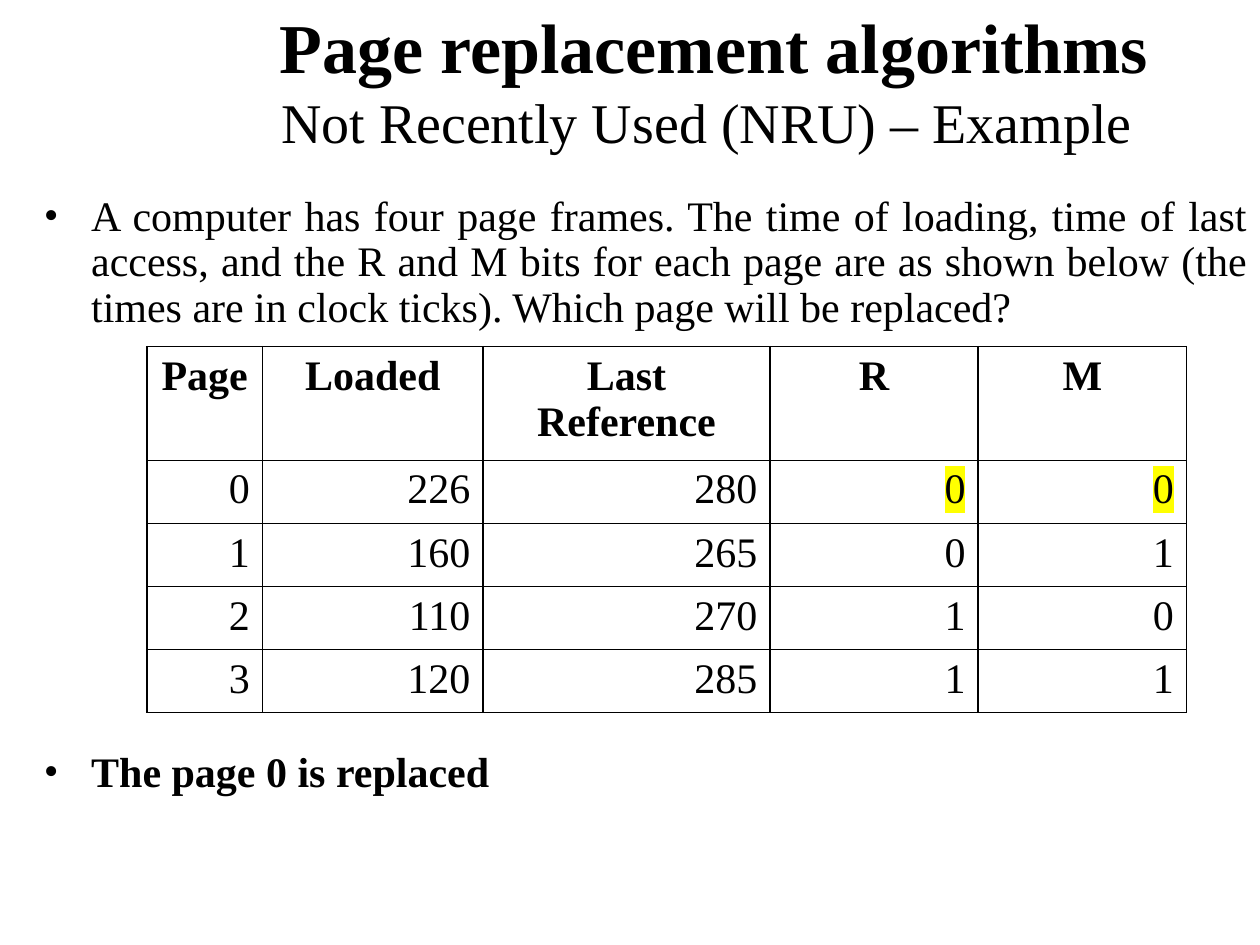
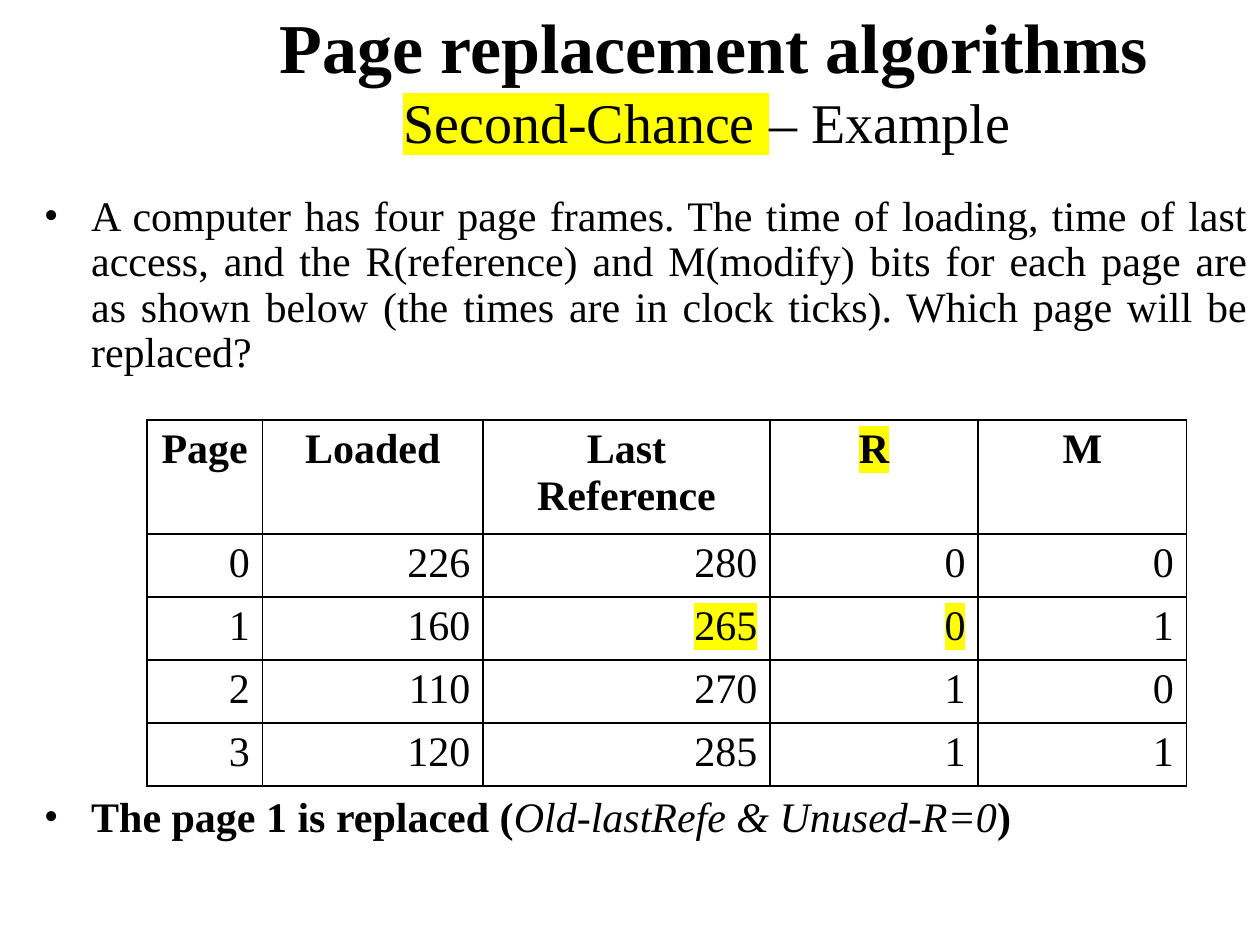
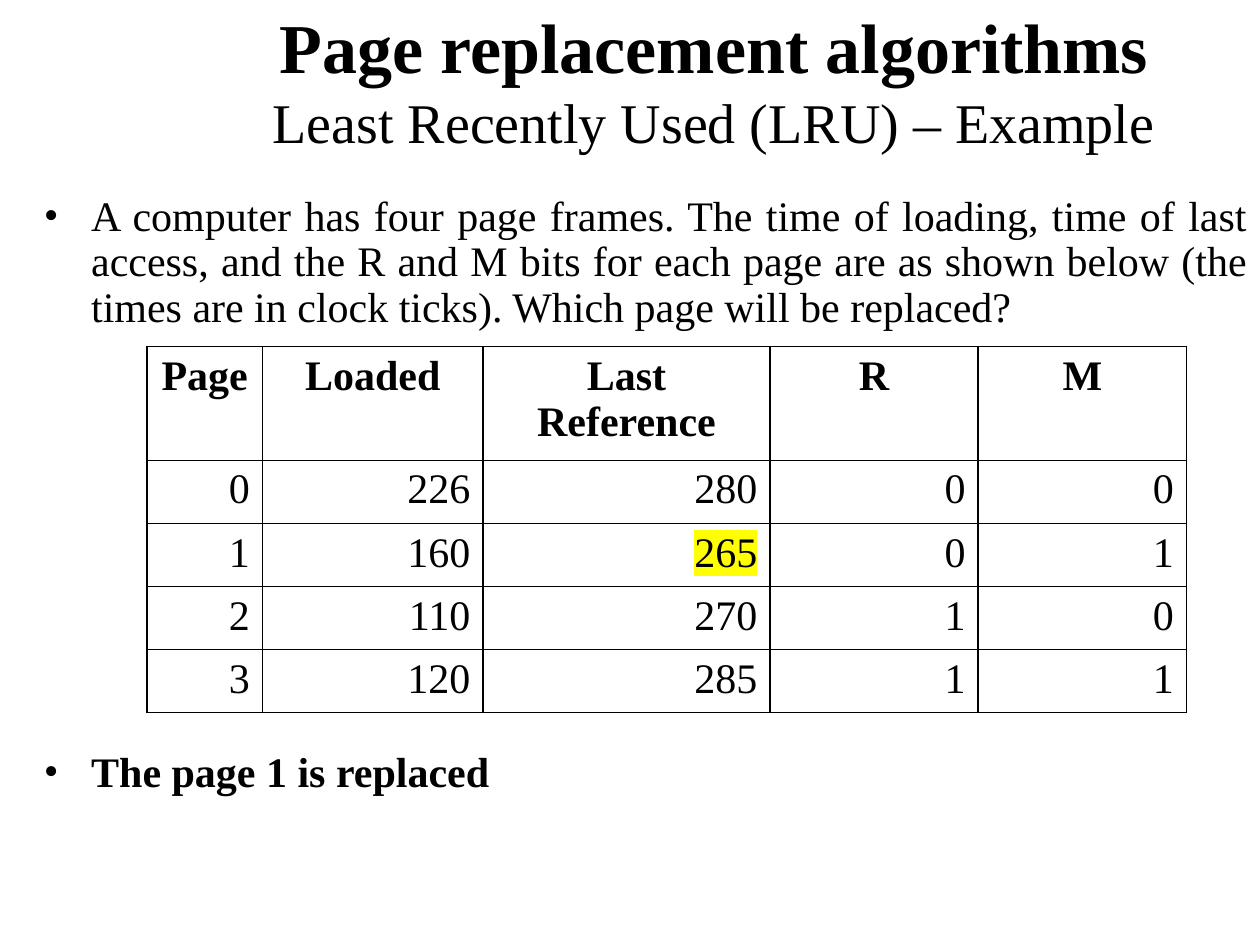
"""Build three worked examples of page replacement algorithms."""
import pptx
import pptx.dml.color
import pptx.enum.text
import pptx.oxml.ns
import pptx.util
from lxml import etree

Pt = pptx.util.Pt
ALIGN = pptx.enum.text.PP_ALIGN
BLACK = pptx.dml.color.RGBColor(0, 0, 0)
WHITE = pptx.dml.color.RGBColor(255, 255, 255)
GLOW = pptx.dml.color.RGBColor(255, 255, 0)
FACE = "Times New Roman"

HEAD = "Page replacement algorithms"
TASK = ("A computer has four page frames. The time of loading, time of last access, "
        "and the {} bits for each page are as shown below (the times are in clock "
        "ticks). Which page will be replaced?")
GRID = [
    ("Page", "Loaded", "Last Reference", "R", "M"),
    (0, 226, 280, 0, 0),
    (1, 160, 265, 0, 1),
    (2, 110, 270, 1, 0),
    (3, 120, 285, 1, 1),
]
COLS = (66, 126, 164, 119, 119)
ROWS = (65, 36, 36, 36, 36)

BIG = {"size": Pt(40), "bold": True}
SUB = {"size": Pt(32)}
TEXT = {"size": Pt(24)}
BOLD = {"size": Pt(24), "bold": True}
SLOPE = {"size": Pt(24), "italic": True}

DECK = [
    {"sub": [("Not Recently Used (NRU) – Example ", SUB, False)],
     "bits": "R and M", "top": 198, "marks": {(1, 3), (1, 4)},
     "end": [("The page 0 is replaced ", BOLD, False)]},
    {"sub": [("Second-Chance ", SUB, True), ("– Example ", SUB, False)],
     "bits": "R(reference) and M(modify)", "top": 240,
     "marks": {(0, 3), (2, 2), (2, 3)},
     "end": [("The page 1 is replaced (", BOLD, False),
             ("Old-lastRefe & Unused-R=0", SLOPE, False), (")", BOLD, False)]},
    {"sub": [(" Least Recently Used (LRU) – Example ", SUB, False)],
     "bits": "R and M", "top": 198, "marks": {(2, 2)},
     "end": [("The page 1 is replaced ", BOLD, False)]},
]


def put(obj, form):
    """Set each attribute named in the format."""
    for name, value in form.items():
        setattr(obj, name, value)


def node(tag, **attrs):
    """Make one drawing element."""
    return etree.Element(pptx.oxml.ns.qn(tag), attrs)


def tint(tag, color):
    """Make an element that holds a plain colour."""
    part = node(tag)
    part.append(node("a:srgbClr", val=str(color)))
    return part


def write(para, runs):
    """Add styled runs to a paragraph."""
    for text, form, mark in runs:
        run = para.add_run()
        run.text = text
        put(run.font, {"name": FACE, **form})
        run.font.color.rgb = BLACK
        if mark:
            fill = run.font._element.find(pptx.oxml.ns.qn("a:solidFill"))
            fill.addnext(tint("a:highlight", GLOW))


def box(slide, left, top, width, height):
    """Add a wrapping text frame."""
    frame = slide.shapes.add_textbox(Pt(left), Pt(top), Pt(width), Pt(height)).text_frame
    frame.word_wrap = True
    return frame


def title(slide, sub):
    """Add the shared heading and its second line."""
    frame = box(slide, 96, 0, 624, 90)
    frame.vertical_anchor = pptx.enum.text.MSO_ANCHOR.MIDDLE
    para = frame.paragraphs[0]
    para.alignment = ALIGN.CENTER
    write(para, [(HEAD, BIG, False)])
    para.add_line_break()
    write(para, sub)


def point(para, runs, gap):
    """Write one justified bullet."""
    put(para, {"alignment": ALIGN.JUSTIFY, "line_spacing": 0.9, "space_before": Pt(gap)})
    props = para._p.get_or_add_pPr()
    props.set("marL", str(Pt(27)))
    props.set("indent", str(-Pt(27)))
    props.append(node("a:buFont", typeface=FACE))
    props.append(node("a:buChar", char="•"))
    write(para, runs)


def edge(cell):
    """Draw a thin black line on each side of a cell."""
    props = cell._tc.get_or_add_tcPr()
    for spot, side in enumerate("LRTB"):
        line = node("a:ln" + side, w=str(Pt(1)))
        line.append(tint("a:solidFill", BLACK))
        props.insert(spot, line)


def table(slide, top, marks):
    """Add the table of page frames."""
    shape = slide.shapes.add_table(len(ROWS), len(COLS), Pt(84), Pt(top),
                                   Pt(sum(COLS)), Pt(sum(ROWS)))
    grid = shape.table
    put(grid, {"first_row": False, "horz_banding": False})
    for col, width in zip(grid.columns, COLS):
        col.width = Pt(width)
    for r, (height, row) in enumerate(zip(ROWS, GRID)):
        grid.rows[r].height = Pt(height)
        for c, value in enumerate(row):
            cell = grid.cell(r, c)
            cell.fill.solid()
            cell.fill.fore_color.rgb = WHITE
            edge(cell)
            para = cell.text_frame.paragraphs[0]
            para.alignment = ALIGN.RIGHT if r else ALIGN.CENTER
            write(para, [(str(value), TEXT if r else BOLD, (r, c) in marks)])


def main():
    """Build and save the deck."""
    deck = pptx.Presentation()
    put(deck, {"slide_width": Pt(720), "slide_height": Pt(540)})
    for page in DECK:
        slide = deck.slides.add_slide(deck.slide_layouts[6])
        title(slide, page["sub"])
        body = box(slide, 18, 108, 702, 456)
        point(body.paragraphs[0], [(TASK.format(page["bits"]), TEXT, False)], 0)
        point(body.add_paragraph(), page["end"], 240)
        table(slide, page["top"], page["marks"])
    deck.save("out.pptx")


if __name__ == "__main__":
    main()
